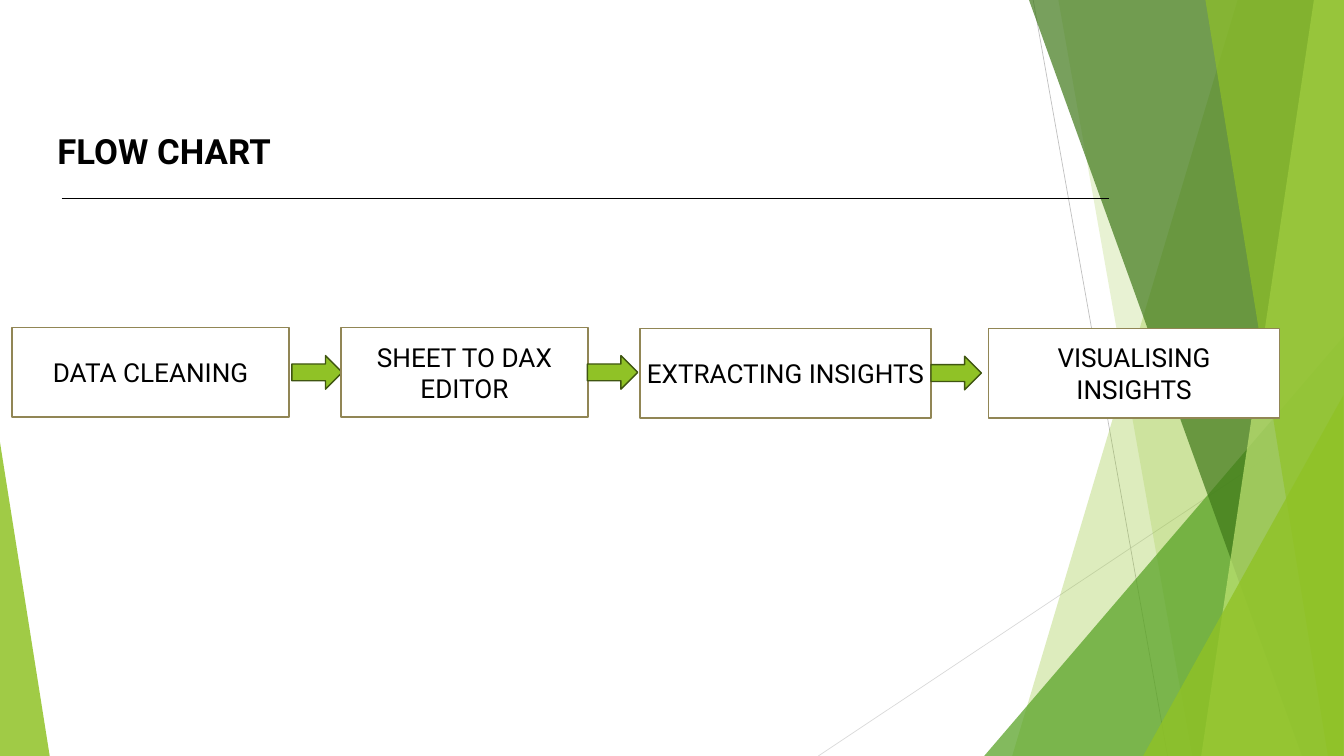
from lxml import etree
from pptx import Presentation, util as u
from pptx.dml.color import RGBColor
from pptx.enum import shapes, text
from pptx.oxml.ns import qn

PX = 9525  # EMU in one px, 96 px to the inch
WIDTH, HEIGHT = 1920, 1080

BLACK = RGBColor(0x00, 0x00, 0x00)
WHITE = RGBColor(0xFF, 0xFF, 0xFF)
LIME = RGBColor(0x90, 0xC2, 0x26)
PALE_LIME = RGBColor(0xC0, 0xE4, 0x74)
GREEN = RGBColor(0x54, 0xA0, 0x21)
DARK_GREEN = RGBColor(0x3F, 0x78, 0x19)
ARROW_EDGE = RGBColor(0x3F, 0x55, 0x11)
BOX_EDGE = RGBColor(0x91, 0x86, 0x55)
GREY = RGBColor(0xBF, 0xBF, 0xBF)
LIGHT_GREY = RGBColor(0xD9, 0xD9, 0xD9)


def px(*lengths):
    return [u.Emu(length * PX) for length in lengths]


def write(frame, lines, size, bold=False, align=text.PP_ALIGN.LEFT,
          anchor=text.MSO_ANCHOR.TOP, inset=10):
    """Fill a text frame with one paragraph per line."""
    frame.word_wrap = True
    frame.auto_size = text.MSO_AUTO_SIZE.NONE
    frame.vertical_anchor = anchor
    frame.margin_left = frame.margin_right = u.Emu(inset * PX)
    for index, line in enumerate(lines):
        para = frame.add_paragraph() if index else frame.paragraphs[0]
        para.alignment = align
        span = para.add_run()
        span.text = line
        span.font.name = "Roboto"
        span.font.size = u.Pt(size)
        span.font.bold = bold
        span.font.color.rgb = BLACK


class FlowSlide:
    def __init__(self, deck):
        self.page = deck.slides.add_slide(deck.slide_layouts[5])
        self.shapes = self.page.shapes

    def paint(self, shape, fill, edge=None, opacity=100):
        shape.shadow.inherit = False
        shape.fill.solid()
        shape.fill.fore_color.rgb = fill
        if opacity < 100:
            color = shape.fill._xPr.find(qn("a:solidFill"))[0]
            etree.SubElement(color, qn("a:alpha"), val=str(opacity * 1000))
        if edge is None:
            shape.line.fill.background()
        else:
            shape.line.color.rgb = edge
            shape.line.width = u.Pt(1.5)

    def title(self, words, left, top, width, height):
        box = self.shapes.title
        box.left, box.top, box.width, box.height = px(left, top, width, height)
        write(box.text_frame, [words], size=37.2, bold=True)

    def line(self, x1, y1, x2, y2, color, weight=0.75):
        line = self.shapes.add_connector(
            shapes.MSO_CONNECTOR.STRAIGHT, *px(x1, y1, x2, y2))
        line.line.color.rgb = color
        line.line.width = u.Pt(weight)
        etree.SubElement(line._element.spPr, qn("a:effectLst"))

    def band(self, top_x, bottom_x, fill, opacity):
        """Full-height band from a slanted left side to the slide's right edge."""
        builder = self.shapes.build_freeform(top_x, 0, scale=PX)
        builder.add_line_segments(
            [(WIDTH, 0), (WIDTH, HEIGHT), (bottom_x, HEIGHT)], close=True)
        self.paint(builder.convert_to_shape(), fill, opacity=opacity)

    def triangle(self, left, top, width, apex, fill, opacity):
        """Triangle standing on the bottom edge of the slide."""
        shape = self.shapes.add_shape(
            shapes.MSO_SHAPE.ISOSCELES_TRIANGLE,
            *px(left, top, width, HEIGHT - top))
        shape.adjustments[0] = apex
        self.paint(shape, fill, opacity=opacity)

    def step(self, left, top, width, lines):
        box = self.shapes.add_shape(
            shapes.MSO_SHAPE.RECTANGLE, *px(left, top, width, 128))
        self.paint(box, WHITE, BOX_EDGE)
        write(box.text_frame, lines, size=28, align=text.PP_ALIGN.CENTER,
              anchor=text.MSO_ANCHOR.MIDDLE, inset=5)

    def arrow(self, left, top):
        shape = self.shapes.add_shape(
            shapes.MSO_SHAPE.RIGHT_ARROW, *px(left, top, 72, 48))
        self.paint(shape, LIME, ARROW_EDGE)


def main():
    deck = Presentation()
    deck.slide_width, deck.slide_height = px(WIDTH, HEIGHT)
    slide = FlowSlide(deck)

    # Green facets around the edges
    slide.line(1476, 0, 1668, HEIGHT, GREY)
    slide.line(WIDTH, 580, 1169, HEIGHT, LIGHT_GREY)
    slide.band(1768, 1446, LIME, 30)
    slide.band(1512, 1703, LIME, 20)
    slide.triangle(1406, 480, 514, 1, GREEN, 72)
    slide.band(1470, 1860, DARK_GREEN, 70)
    slide.band(1877, 1716, PALE_LIME, 70)
    slide.band(1722, 1897, LIME, 65)
    slide.triangle(1633, 565, 286, 1, LIME, 80)
    slide.triangle(0, 632, 71, 0, LIME, 85)

    # Title and rule
    slide.title("FLOW CHART", 72, 180, 1354, 208)
    slide.line(88, 284, 1584, 284, BLACK, weight=1)

    # Steps, each with the left edge of the arrow that follows it
    steps = [
        (17, 468, 396, ["DATA CLEANING"], 417),
        (487, 468, 353, ["SHEET TO DAX EDITOR"], 839),
        (914, 469, 416, ["EXTRACTING INSIGHTS"], 1330),
        (1412, 469, 416, ["VISUALISING", "INSIGHTS"], None),
    ]
    for left, top, width, lines, arrow_left in steps:
        slide.step(left, top, width, lines)
        if arrow_left is not None:
            slide.arrow(arrow_left, top + 40)

    deck.save("out.pptx")


if __name__ == "__main__":
    main()
